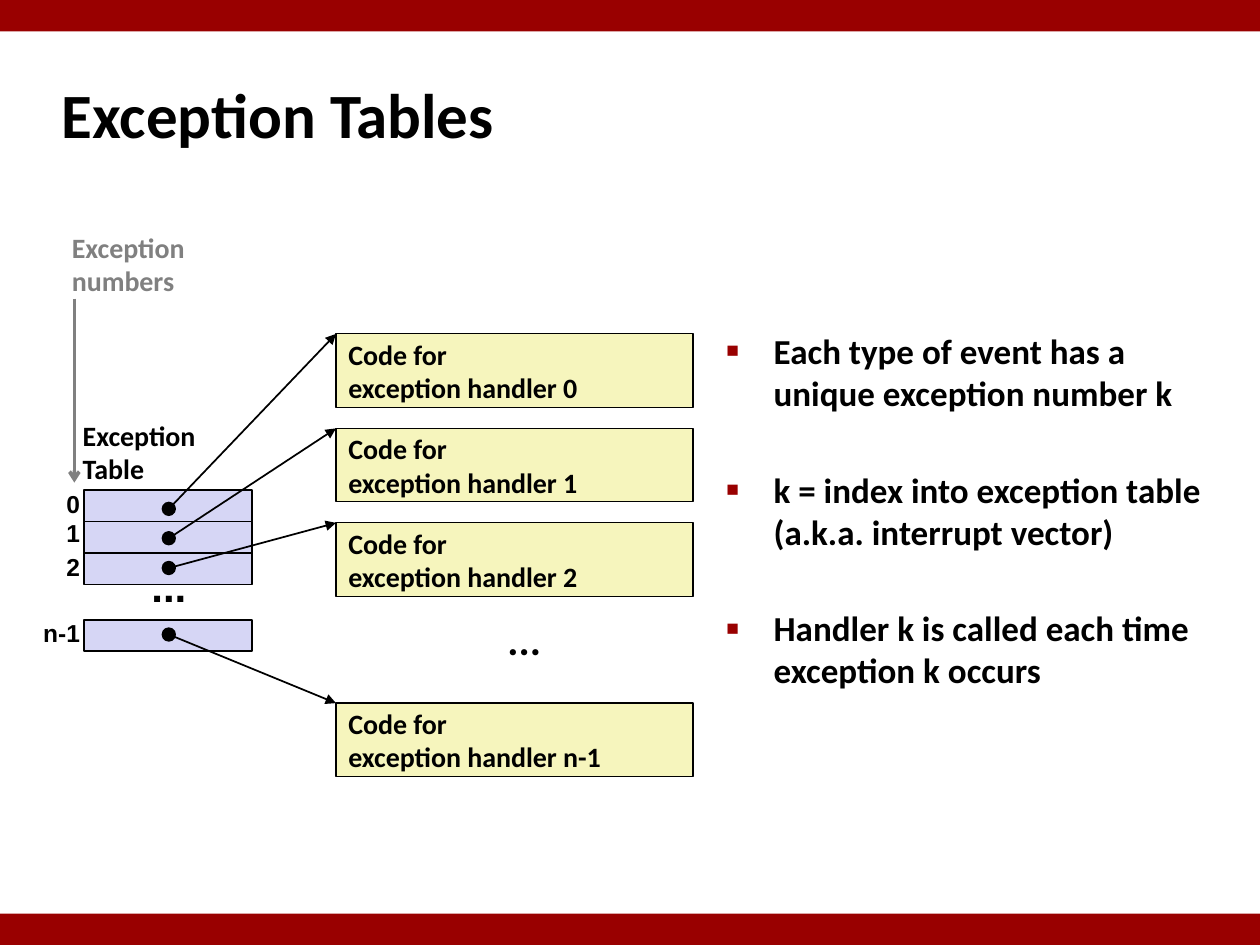
import pptx
import pptx.dml.color
import pptx.enum.shapes
import pptx.enum.text
import pptx.oxml.xmlchemy
import pptx.util

Pt = pptx.util.Pt
ALIGN = pptx.enum.text.PP_ALIGN
ANCHOR = pptx.enum.text.MSO_ANCHOR
SHAPE = pptx.enum.shapes.MSO_SHAPE

# Content
TITLE = "Exception Tables"
NUMBERS_LABEL = "Exception\nnumbers"
TABLE_LABEL = "Exception\nTable"
ELLIPSIS = "..."
# number, row top, number centre, dot centre, handler top
ENTRIES = [
    ("0", 280, 287.6, 290.8, 190.8),
    ("1", 298, 304.2, 307.6, 244.8),
    ("2", 316, 323.6, 324.6, 298.8),
    ("n-1", 354.2, 361.8, 362.6, 401.8),
]
POINTS = [
    "Each type of event has a\vunique exception number k",
    "k = index into exception table\v(a.k.a. interrupt vector)",
    "Handler k is called each time\vexception k occurs",
]

# Theme and geometry
THEME = {
    "red": "990000", "cell": "D6D6F5", "handler": "F6F5BD",
    "black": "000000", "grey": "808080",
    "title": 36, "dots": 24, "point": 20, "label": 16, "number": 14,
    "font": "Calibri", "number_font": "Arial",
}
PAGE_W, PAGE_H, BAR_H = 720, 540, 18
ROW_LEFT, ROW_W, ROW_H = 48, 96, 18
HANDLER_LEFT, HANDLER_W, HANDLER_H = 192, 204, 42
DOT_X, DOT_SIZE = 96.5, 7.2
NUMBER_LEFT, NUMBER_W, NUMBER_H = 12.8, 40, 24
ELLIPSIS_W, ELLIPSIS_H = 60, 36
POINT_INDENT, POINT_GAP = 27, 31.2


def color(name):
    return pptx.dml.color.RGBColor.from_string(THEME[name])


def points(*lengths):
    return [Pt(length) for length in lengths]


def element(tag, **attributes):
    node = pptx.oxml.xmlchemy.OxmlElement(tag)
    for key, value in attributes.items():
        node.set(key, value)
    return node


def write(holder, text, size, ink="black", font="font", align=ALIGN.LEFT,
          anchor=ANCHOR.MIDDLE):
    frame = holder.text_frame
    frame.text = text
    settings = {"word_wrap": True, "vertical_anchor": anchor,
                "auto_size": pptx.enum.text.MSO_AUTO_SIZE.NONE}
    for key, value in settings.items():
        setattr(frame, key, value)
    font_format = {"name": THEME[font], "size": Pt(THEME[size]), "bold": True}
    for para in frame.paragraphs:
        para.alignment = align
        for span in para.runs:
            for key, value in font_format.items():
                setattr(span.font, key, value)
            span.font.color.rgb = color(ink)
    return frame


def add_text(page, left, top, width, height, text, size, **style):
    box = page.shapes.add_textbox(*points(left, top, width, height))
    return write(box, text, size, **style)


def add_block(page, kind, left, top, width, height, fill, line=None):
    block = page.shapes.add_shape(kind, *points(left, top, width, height))
    block.shadow.inherit = False
    block.fill.solid()
    block.fill.fore_color.rgb = color(fill)
    if line:
        block.line.color.rgb = color("black")
        block.line.width = Pt(line)
    else:
        block.line.fill.background()
    return block


def add_arrow(page, start, end, ink, width, head):
    arrow = page.shapes.add_connector(
        pptx.enum.shapes.MSO_CONNECTOR.STRAIGHT, *points(*start, *end))
    arrow.line.color.rgb = color(ink)
    arrow.line.width = Pt(width)
    outline = arrow.line._get_or_add_ln()
    outline.append(element("a:tailEnd", type=head))
    arrow._element.spPr.append(element("a:effectLst"))


def add_bullet(para):
    props = para._p.get_or_add_pPr()
    props.set("marL", str(Pt(POINT_INDENT)))
    props.set("indent", str(-Pt(POINT_INDENT)))
    bullet_color = element("a:buClr")
    bullet_color.append(element("a:srgbClr", val=THEME["red"]))
    props.extend([
        bullet_color,
        element("a:buSzPct", val="60000"),
        element("a:buFont", typeface=THEME["number_font"]),
        element("a:buChar", char="■"),
    ])


def main():
    deck = pptx.Presentation()
    deck.slide_width, deck.slide_height = points(PAGE_W, PAGE_H)
    page = deck.slides.add_slide(deck.slide_layouts[5])

    # Bars and title
    for top in (0, PAGE_H - BAR_H):
        add_block(page, SHAPE.RECTANGLE, 0, top, PAGE_W, BAR_H, "red")
    title = page.shapes.title
    title.left, title.top, title.width, title.height = points(28, 34.6, 598, 60)
    write(title, TITLE, "title")

    # Exception table, its numbers and the handlers
    for number, row_top, number_y, dot_y, handler_top in ENTRIES:
        add_block(page, SHAPE.RECTANGLE, ROW_LEFT, row_top, ROW_W, ROW_H,
                  "cell", 1)
        add_block(page, SHAPE.OVAL, DOT_X - DOT_SIZE / 2, dot_y - DOT_SIZE / 2,
                  DOT_SIZE, DOT_SIZE, "black", 1)
        add_text(page, NUMBER_LEFT, number_y - NUMBER_H / 2, NUMBER_W, NUMBER_H,
                 number, "number", font="number_font", align=ALIGN.RIGHT)
        handler = add_block(page, SHAPE.RECTANGLE, HANDLER_LEFT, handler_top,
                            HANDLER_W, HANDLER_H, "handler", 0.75)
        write(handler, f"Code for\nexception handler {number}", "label")

    # Arrows from the table to the handlers
    for _, _, _, dot_y, handler_top in ENTRIES:
        add_arrow(page, (DOT_X, dot_y), (HANDLER_LEFT, handler_top),
                  "black", 1, "triangle")

    # Ellipses for the entries left out
    for center, top, font in [(DOT_X, 316.8, "number_font"),
                              (299.5, 347, "font")]:
        add_text(page, center - ELLIPSIS_W / 2, top, ELLIPSIS_W, ELLIPSIS_H,
                 ELLIPSIS, "dots", font=font, align=ALIGN.CENTER)

    # Labels and the numbers arrow
    add_text(page, 40.2, 235.4, 90, 46, TABLE_LABEL, "label", anchor=ANCHOR.TOP)
    add_text(page, 34, 128, 90, 46, NUMBERS_LABEL, "label", ink="grey",
             anchor=ANCHOR.TOP)
    add_arrow(page, (42.5, 170.6), (42.5, 275.8), "grey", 2, "arrow")

    # Explanatory points
    frame = add_text(page, 408, 184.8, 300, 253, "\n".join(POINTS), "point",
                     anchor=ANCHOR.TOP)
    for index, para in enumerate(frame.paragraphs):
        if index:
            para.space_before = Pt(POINT_GAP)
        add_bullet(para)

    deck.save("out.pptx")


if __name__ == "__main__":
    main()
